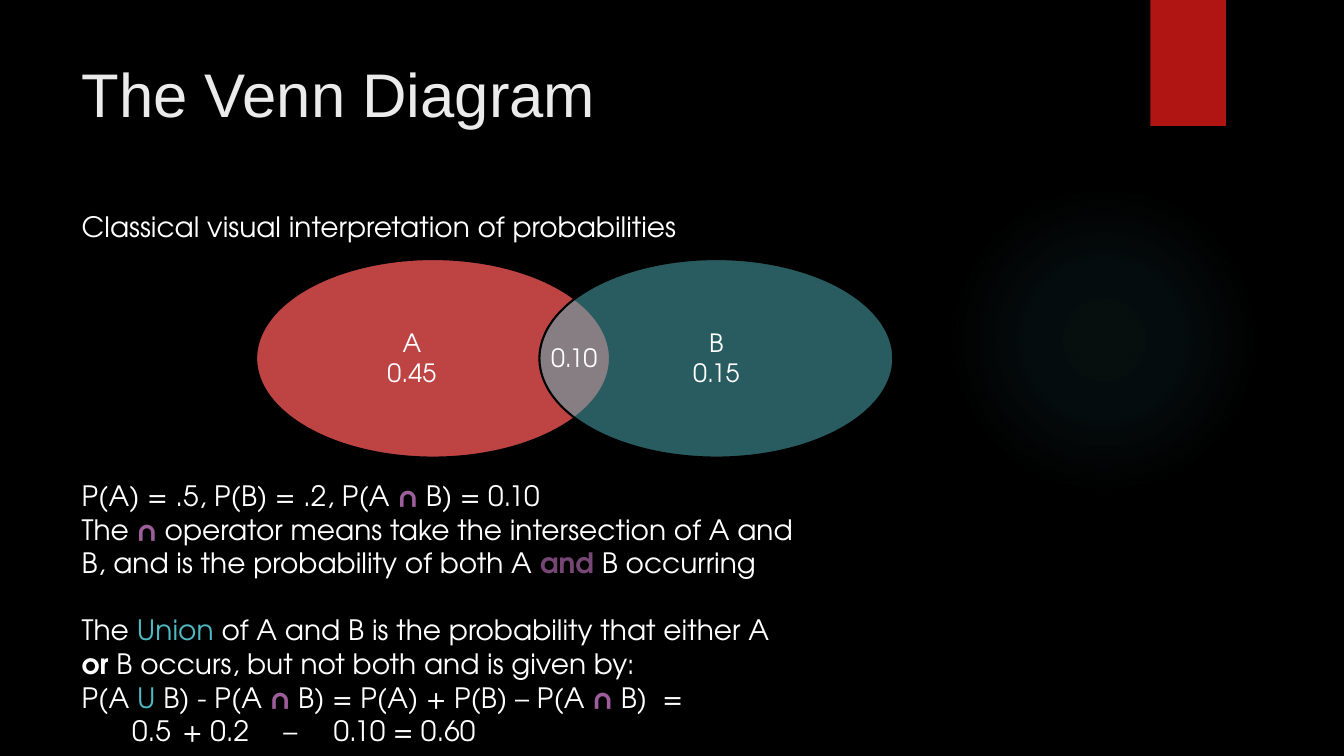
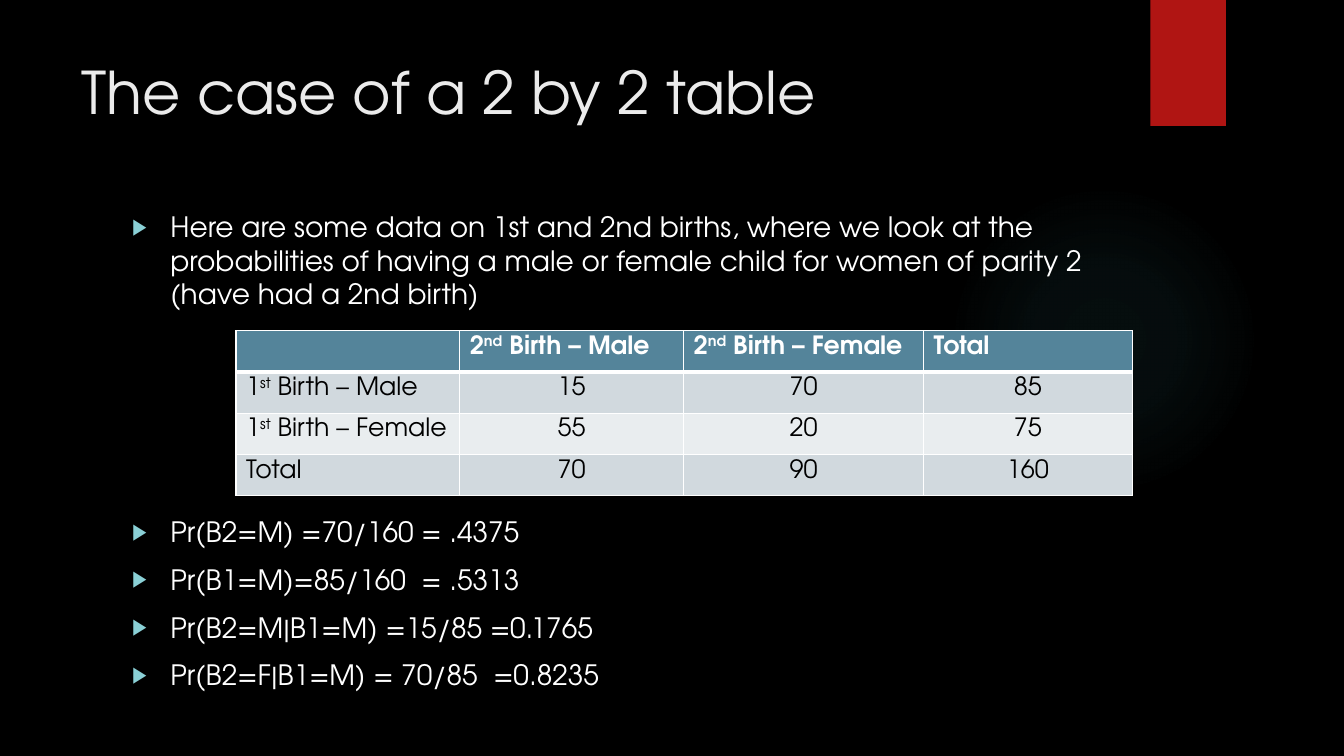
import pptx
import pptx.util
import pptx.dml.color
import pptx.enum.shapes
import pptx.enum.text
import pptx.oxml
import pptx.oxml.ns

Inches = pptx.util.Inches
Pt = pptx.util.Pt
RGBColor = pptx.dml.color.RGBColor
Align = pptx.enum.text.PP_ALIGN
Shape = pptx.enum.shapes.MSO_SHAPE
qn = pptx.oxml.ns.qn

BLACK = RGBColor(0x00, 0x00, 0x00)
WHITE = RGBColor(0xFF, 0xFF, 0xFF)
PALE = RGBColor(0xEB, 0xEB, 0xEB)
RED = RGBColor(0xB0, 0x15, 0x13)
CORAL = RGBColor(0xED, 0x56, 0x54)
TEAL = RGBColor(0x50, 0xB9, 0xC1)
AQUA = RGBColor(0x8A, 0xD0, 0xD6)
VIOLET = RGBColor(0x9E, 0x5E, 0x9B)
PLUM = RGBColor(0x76, 0x46, 0x74)
HEAD = RGBColor(0x54, 0x84, 0x9A)
BANDS = (RGBColor(0xD1, 0xD9, 0xDE), RGBColor(0xE9, 0xED, 0xEF))
FONT = "TeX Gyre Adventor"
CAP = (" ∩ ", VIOLET, True)


def box(*sizes):
    return [Inches(size) for size in sizes]


def node(tag, inner="", **attrs):
    pairs = " ".join(f'{key}="{value}"' for key, value in attrs.items())
    space = pptx.oxml.ns.nsdecls("a")
    return pptx.oxml.parse_xml(f"<a:{tag} {space} {pairs}>{inner}</a:{tag}>")


def paint(font, size, color, bold=False, name=FONT):
    font.size, font.bold, font.name = Pt(size), bold, name
    font.color.rgb = color


def write(para, parts, size=20, color=WHITE, bold=False, name=FONT):
    paint(para.font, size, color, bold, name)
    for part in [parts] if isinstance(parts, str) else parts:
        run = para.add_run()
        if isinstance(part, str):
            run.text = part
        else:
            run.text, run.font.color.rgb, run.font.bold = part


def lines(frame):
    yield frame.paragraphs[0]
    while True:
        yield frame.add_paragraph()


def place(shape, area):
    shape.left, shape.top, shape.width, shape.height = box(*area)
    frame = shape.text_frame
    frame.word_wrap = True
    frame.auto_size = pptx.enum.text.MSO_AUTO_SIZE.NONE
    frame.vertical_anchor = pptx.enum.text.MSO_ANCHOR.TOP
    return frame


def start(deck, title, size, name=FONT):
    slide = deck.slides.add_slide(deck.slide_layouts[1])
    para = place(slide.shapes.title, (0.71, 0.5, 10.29, 1.53)).paragraphs[0]
    para.alignment = Align.LEFT
    write(para, title, size, PALE, name=name)
    return slide


def plain(para, gap):
    para.space_before = Pt(gap)
    props = para._p.get_or_add_pPr()
    props.set("marL", "0")
    props.set("indent", "0")
    props.append(node("buNone"))
    return props


def bullet(para, gap):
    para.space_before = Pt(gap)
    props = para._p.get_or_add_pPr()
    props.set("marL", str(Inches(0.38)))
    props.set("indent", str(-Inches(0.38)))
    props.append(node("buClr", f'<a:srgbClr val="{AQUA}"/>'))
    props.append(node("buSzPct", val=80000))
    props.append(node("buFont", typeface="Arial"))
    props.append(node("buChar", char="▶"))


def stops(props, places):
    tabs = node("tabLst")
    for spot in places:
        tabs.append(node("tab", pos=Inches(spot), algn="l"))
    props.append(tabs)


def form(slide, kind, area, color):
    shape = slide.shapes.add_shape(kind, *box(*area))
    shape.shadow.inherit = False
    shape.fill.solid()
    shape.fill.fore_color.rgb = color
    shape.line.fill.background()
    return shape


def theme(deck, slide):
    master = deck.slide_master
    master.background.fill.solid()
    master.background.fill.fore_color.rgb = BLACK
    glow = form(slide, Shape.OVAL, (9.41, 1.83, 3.08, 3.08), TEAL)
    marks = "".join(
        f'<a:gs pos="{spot}000"><a:srgbClr val="{TEAL}">'
        f'<a:alpha val="{alpha}000"/></a:srgbClr></a:gs>'
        for spot, alpha in ((0, 7), (36, 6), (69, 0)))
    focus = ('<a:path path="circle"><a:fillToRect l="50000" t="50000" '
             'r="50000" b="50000"/></a:path>')
    fill = glow._element.spPr.find(qn("a:solidFill"))
    fill.getparent().replace(fill, node("gradFill", f"<a:gsLst>{marks}</a:gsLst>{focus}"))
    flag = form(slide, Shape.RECTANGLE, (11.41, 0, 0.75, 1.25), RED)
    tree = master.shapes._spTree
    for spot, shape in enumerate((glow, flag), 2):
        tree.insert(spot, shape._element)


def oval(slide, left, color, alpha):
    shape = form(slide, Shape.OVAL, (left, 2.57, 3.51, 1.97), color)
    tint = shape._element.spPr.find(qn("a:solidFill"))[0]
    tint.append(node("alpha", val=alpha * 1000))
    shape.line.color.rgb = BLACK
    shape.line.width = Pt(1.5)


def label(slide, left, top, texts):
    shape = slide.shapes.add_textbox(*box(left, top, 0.69, 0.1 + 0.3 * len(texts)))
    shape.text_frame.word_wrap = False
    for para, text in zip(lines(shape.text_frame), texts):
        para.alignment = Align.CENTER
        write(para, text, 18)


def venn(slide):
    rows = [
        (0, "Classical visual interpretation of probabilities"),
        (168, ["P(A) = .5, P(B) = .2, P(A", CAP, "B) = 0.10"]),
        (0, ["The ", ("∩", VIOLET, True),
             " operator means take the intersection of A and"]),
        (0, ["B, and is the probability of both A ", ("and ", PLUM, True),
             "B occurring"]),
        (24, ["The ", ("Union", TEAL, False),
              " of A and B is the probability that either A"]),
        (0, [("or ", WHITE, True), "B occurs, but not both and is given by:"]),
        (0, ["P(A ", ("U", TEAL, False), " B) - P(A", CAP,
             "B) = P(A) + P(B) – P(A", CAP, "B)  ="]),
        (0, "\t0.5\t+ 0.2\t–\t0.10 = 0.60"),
    ]
    frame = place(slide.placeholders[1], (0.71, 2.03, 11.48, 5.49))
    for (gap, parts), para in zip(rows, lines(frame)):
        props = plain(para, gap)
        if "\t" in parts:
            stops(props, (2.8, 3.36, 4.23, 4.52))
        write(para, parts)
    oval(slide, 2.54, CORAL, 80)
    oval(slide, 5.35, TEAL, 50)
    label(slide, 6.76, 3.2, ("B", "0.15"))
    label(slide, 3.74, 3.2, ("A", "0.45"))
    label(slide, 5.35, 3.35, ("0.10",))


def edge(cell, base):
    props = cell._tc.get_or_add_tcPr()
    fill = f'<a:solidFill><a:srgbClr val="{WHITE}"/></a:solidFill>'
    for side, width in zip("LRTB", (1, 1, 1, base)):
        props.append(node("ln" + side, fill, w=Pt(width)))


def grid(slide, rows, widths):
    area = box(2.34, 3.28, sum(widths), 0.41 * len(rows))
    table = slide.shapes.add_table(len(rows), len(widths), *area).table
    table.first_row = table.horz_banding = False
    for column, width in zip(table.columns, widths):
        column.width = Inches(width)
    for r, row in enumerate(rows):
        table.rows[r].height = Inches(0.41)
        for c, text in enumerate(row):
            cell = table.cell(r, c)
            edge(cell, 1 if r else 3)
            cell.fill.solid()
            cell.fill.fore_color.rgb = BANDS[(r - 1) % 2] if r else HEAD
            para = cell.text_frame.paragraphs[0]
            para.alignment = Align.CENTER if r and c else Align.LEFT
            parts = text.split("^")
            write(para, parts, 18, BLACK if r else WHITE, not r)
            if len(parts) == 3:
                para.runs[1].font._element.set("baseline", "30000")


def births(slide):
    rows = [
        (0, "Here are some data on 1st and 2nd births, where we look at the "
            "probabilities of having a male or female child for women of "
            "parity 2 (have had a 2nd birth)"),
        (146, "Pr(B2=M) =70/160 = .4375"),
        (10, "Pr(B1=M)=85/160  = .5313"),
        (10, "Pr(B2=M|B1=M) =15/85 =0.1765"),
        (10, "Pr(B2=F|B1=M) = 70/85  =0.8235"),
    ]
    frame = place(slide.placeholders[1], (1.21, 2.03, 9.78, 5.23))
    for (gap, text), para in zip(rows, lines(frame)):
        bullet(para, gap)
        write(para, text)
    grid(slide, [
        ("", "2^nd^ Birth – Male", "2^nd^ Birth – Female", "Total"),
        ("1^st^ Birth – Male", "15", "70", "85"),
        ("1^st^ Birth – Female", "55", "20", "75"),
        ("Total", "70", "90", "160"),
    ], (2.22, 2.22, 2.38, 2.07))


def main():
    deck = pptx.Presentation()
    deck.slide_width, deck.slide_height = box(13.33, 7.5)
    first = start(deck, "The Venn Diagram", 44, "Arial")
    theme(deck, first)
    venn(first)
    births(start(deck, "The case of a 2 by 2 table", 42))
    deck.save("out.pptx")


if __name__ == "__main__":
    main()
